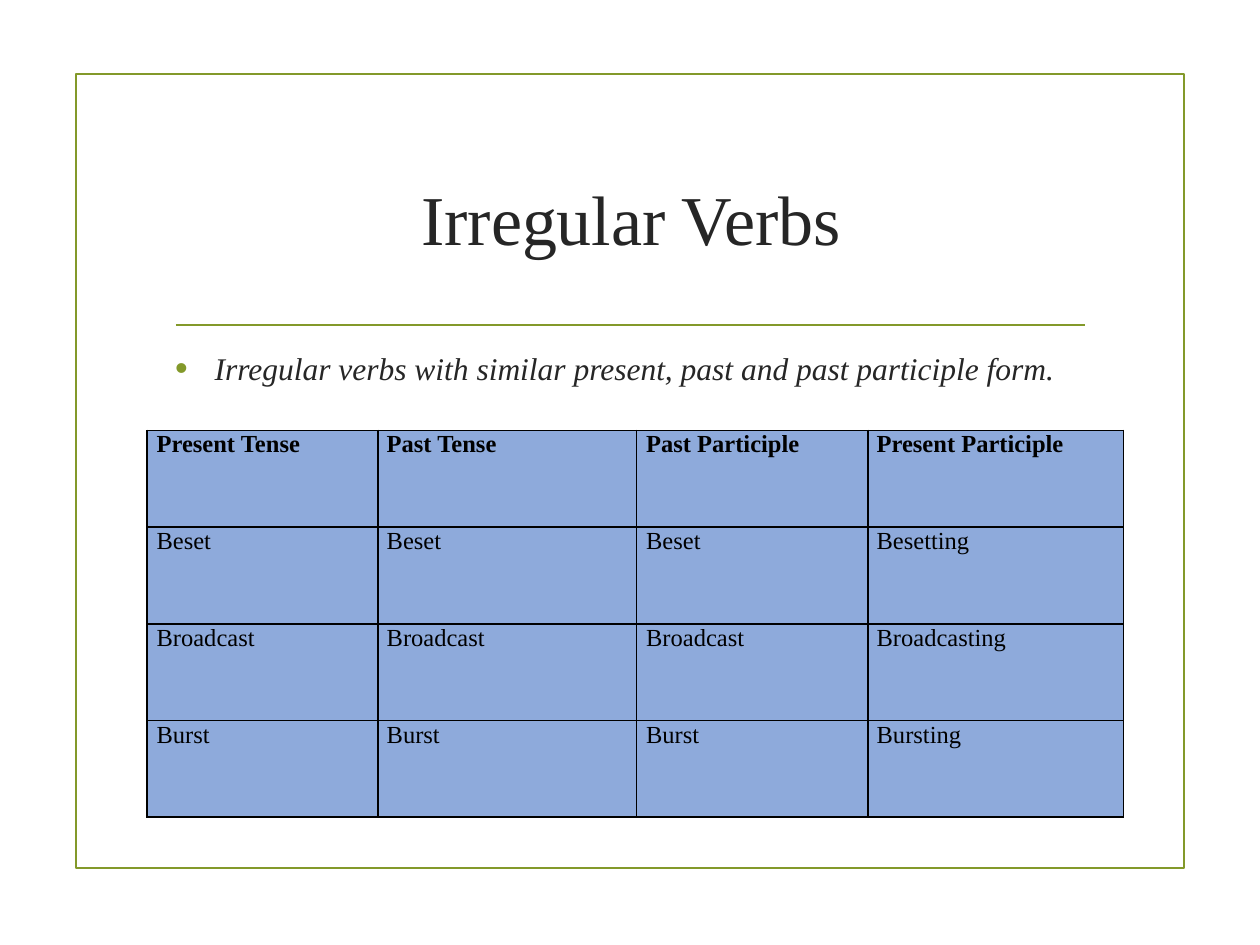
"""Build a slide on irregular verbs with a title, a bullet and a verb table."""
from dataclasses import dataclass

from lxml import etree
from pptx import Presentation
from pptx.dml.color import RGBColor
from pptx.enum.shapes import MSO_CONNECTOR, MSO_SHAPE
from pptx.enum.text import MSO_ANCHOR, MSO_AUTO_SIZE, PP_ALIGN
from pptx.oxml import parse_xml
from pptx.oxml.ns import nsdecls, qn
from pptx.util import Pt

RECTANGLE = MSO_SHAPE.RECTANGLE
STRAIGHT = MSO_CONNECTOR.STRAIGHT
MIDDLE, TOP = MSO_ANCHOR.MIDDLE, MSO_ANCHOR.TOP
CENTER, LEFT = PP_ALIGN.CENTER, PP_ALIGN.LEFT
NO_AUTOFIT = MSO_AUTO_SIZE.NONE
TITLE_ONLY = 5


@dataclass(frozen=True)
class Theme:
    """Colours, font and type sizes of the slide."""
    font: str = "Times New Roman"
    accent: str = "83992A"
    text: str = "262626"
    table_text: str = "000000"
    table_fill: str = "8EAADB"
    title_size: float = 40
    bullet_size: float = 18
    table_size: float = 14
    accent_line: float = 1.25
    table_line: float = 1


@dataclass(frozen=True)
class Area:
    """A rectangle in points."""
    left: float
    top: float
    width: float
    height: float

    def lengths(self):
        """Return the four lengths for a python-pptx call."""
        return Pt(self.left), Pt(self.top), Pt(self.width), Pt(self.height)


@dataclass(frozen=True)
class Column:
    """Width and text indent of a table column in points."""
    width: float
    indent: float


THEME = Theme()
FRAME = Area(43.5, 42.5, 633, 453.5)
TITLE = Area(93, 72.5, 535.5, 103)
BODY = Area(93, 196, 535.5, 271)
TABLE = Area(84, 246, 558, 221)
COLUMNS = [Column(132, 5.5), Column(147.75, 5), Column(132.25, 5.5), Column(146, 5)]
VERBS = [
    ("Present Tense", "Past Tense", "Past Participle", "Present Participle"),
    ("Beset", "Beset", "Beset", "Besetting"),
    ("Broadcast", "Broadcast", "Broadcast", "Broadcasting"),
    ("Burst", "Burst", "Burst", "Bursting"),
]


def add_span(para, text: str, size: float, color: str, bold=False, italic=False) -> None:
    """Add one formatted run to a paragraph."""
    span = para.add_run()
    span.text = text
    font = span.font
    font.name, font.size = THEME.font, Pt(size)
    font.bold, font.italic = bold, italic
    font.color.rgb = RGBColor.from_string(color)


def style_line(line) -> None:
    """Give a line the accent colour and width."""
    line.color.rgb = RGBColor.from_string(THEME.accent)
    line.width = Pt(THEME.accent_line)


def add_frame(page) -> None:
    """Draw the border of the page and the rule below the title."""
    border = page.shapes.add_shape(RECTANGLE, *FRAME.lengths())
    border.shadow.inherit = False
    border.fill.background()
    style_line(border.line)
    rule = page.shapes.add_connector(STRAIGHT, Pt(100.5), Pt(185.5), Pt(620), Pt(185.5))
    style_line(rule.line)
    etree.SubElement(rule._element.spPr, qn("a:effectLst"))


def add_title(page) -> None:
    """Place and fill the title placeholder."""
    box = page.shapes.title
    box.left, box.top, box.width, box.height = TITLE.lengths()
    frame = box.text_frame
    frame.auto_size, frame.vertical_anchor = NO_AUTOFIT, MIDDLE
    para = frame.paragraphs[0]
    para.alignment = CENTER
    add_span(para, "Irregular Verbs", THEME.title_size, THEME.text)


def add_bullet(page) -> None:
    """Add the bulleted line above the table."""
    frame = page.shapes.add_textbox(*BODY.lengths()).text_frame
    frame.word_wrap, frame.vertical_anchor = True, TOP
    para = frame.paragraphs[0]
    properties = para._p.get_or_add_pPr()
    properties.set("marL", str(Pt(22.5)))
    properties.set("indent", str(Pt(-22.5)))
    for element in (
        f'<a:buClr {nsdecls("a")}><a:srgbClr val="{THEME.accent}"/></a:buClr>',
        f'<a:buSzPct {nsdecls("a")} val="115000"/>',
        f'<a:buFont {nsdecls("a")} typeface="Arial"/>',
        f'<a:buChar {nsdecls("a")} char="•"/>',
    ):
        properties.append(parse_xml(element))
    para.alignment, para.space_after = LEFT, Pt(6)
    sentence = "Irregular verbs with similar present, past and past participle form."
    add_span(para, sentence, THEME.bullet_size, THEME.text, italic=True)


def fill_cell(cell, text: str, indent: float, header: bool) -> None:
    """Format one table cell and write its text."""
    cell.margin_left = cell.margin_top = cell.margin_right = cell.margin_bottom = 0
    cell.vertical_anchor = TOP
    properties = cell._tc.get_or_add_tcPr()
    for side in ("lnL", "lnR", "lnT", "lnB"):
        properties.append(parse_xml(
            f'<a:{side} {nsdecls("a")} w="{Pt(THEME.table_line)}"><a:solidFill>'
            f'<a:srgbClr val="{THEME.table_text}"/></a:solidFill></a:{side}>'))
    cell.fill.solid()
    cell.fill.fore_color.rgb = RGBColor.from_string(THEME.table_fill)
    para = cell.text_frame.paragraphs[0]
    para._p.get_or_add_pPr().set("marL", str(Pt(indent)))
    if not header:
        para.line_spacing = Pt(16)
    add_span(para, text, THEME.table_size, THEME.table_text, bold=header)


def add_verb_table(page) -> None:
    """Add the table of verb forms."""
    table = page.shapes.add_table(len(VERBS), len(COLUMNS), *TABLE.lengths()).table
    table.horz_banding = False
    for grid_column, column in zip(table.columns, COLUMNS):
        grid_column.width = Pt(column.width)
    for row, forms in enumerate(VERBS):
        table.rows[row].height = Pt(TABLE.height / len(VERBS))
        for index, (form, column) in enumerate(zip(forms, COLUMNS)):
            fill_cell(table.cell(row, index), form, column.indent, row == 0)


def main() -> None:
    """Build and save the deck."""
    deck = Presentation()
    deck.slide_width, deck.slide_height = Pt(720), Pt(540)
    page = deck.slides.add_slide(deck.slide_layouts[TITLE_ONLY])
    add_frame(page)
    add_title(page)
    add_bullet(page)
    add_verb_table(page)
    deck.save("out.pptx")


if __name__ == "__main__":
    main()
